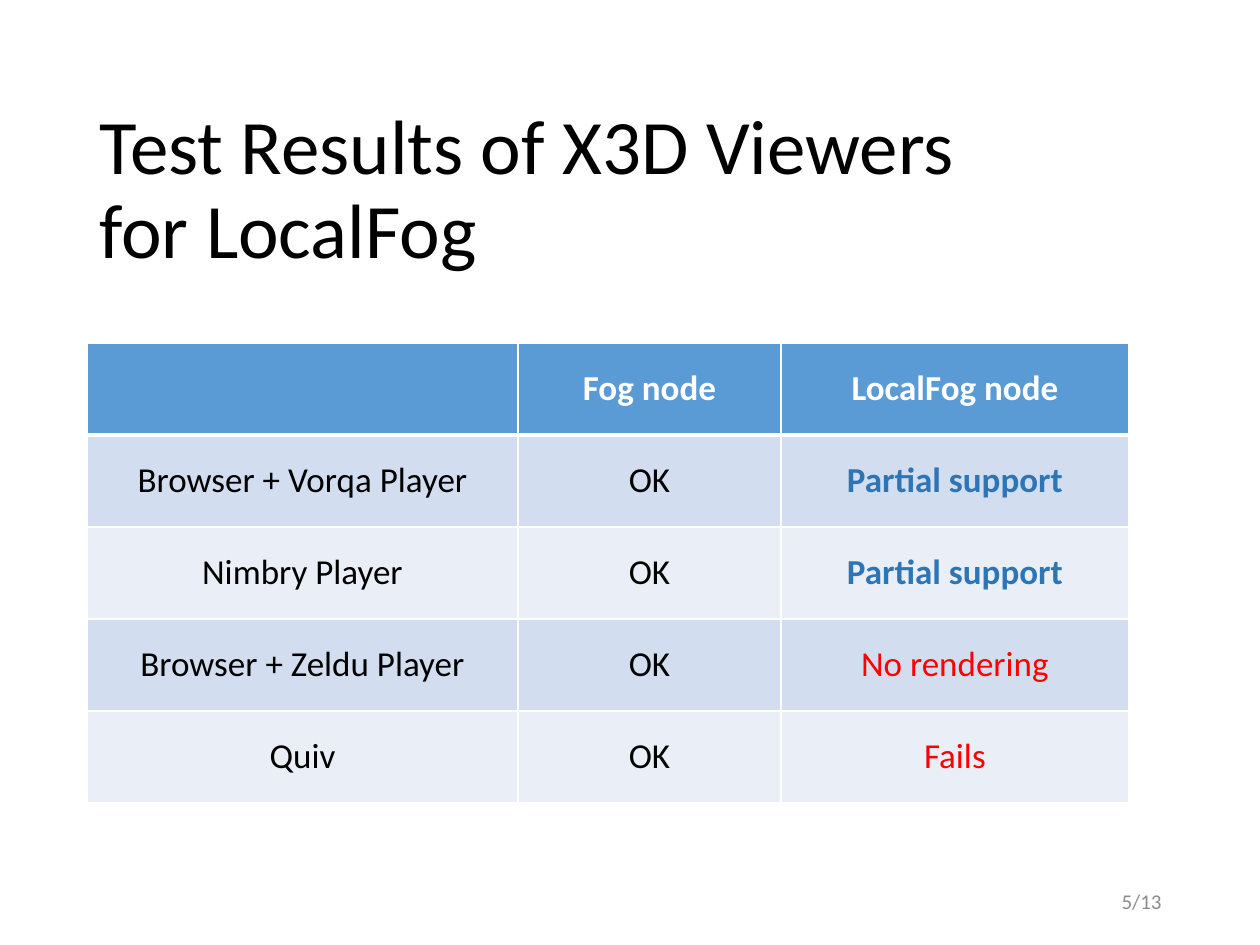
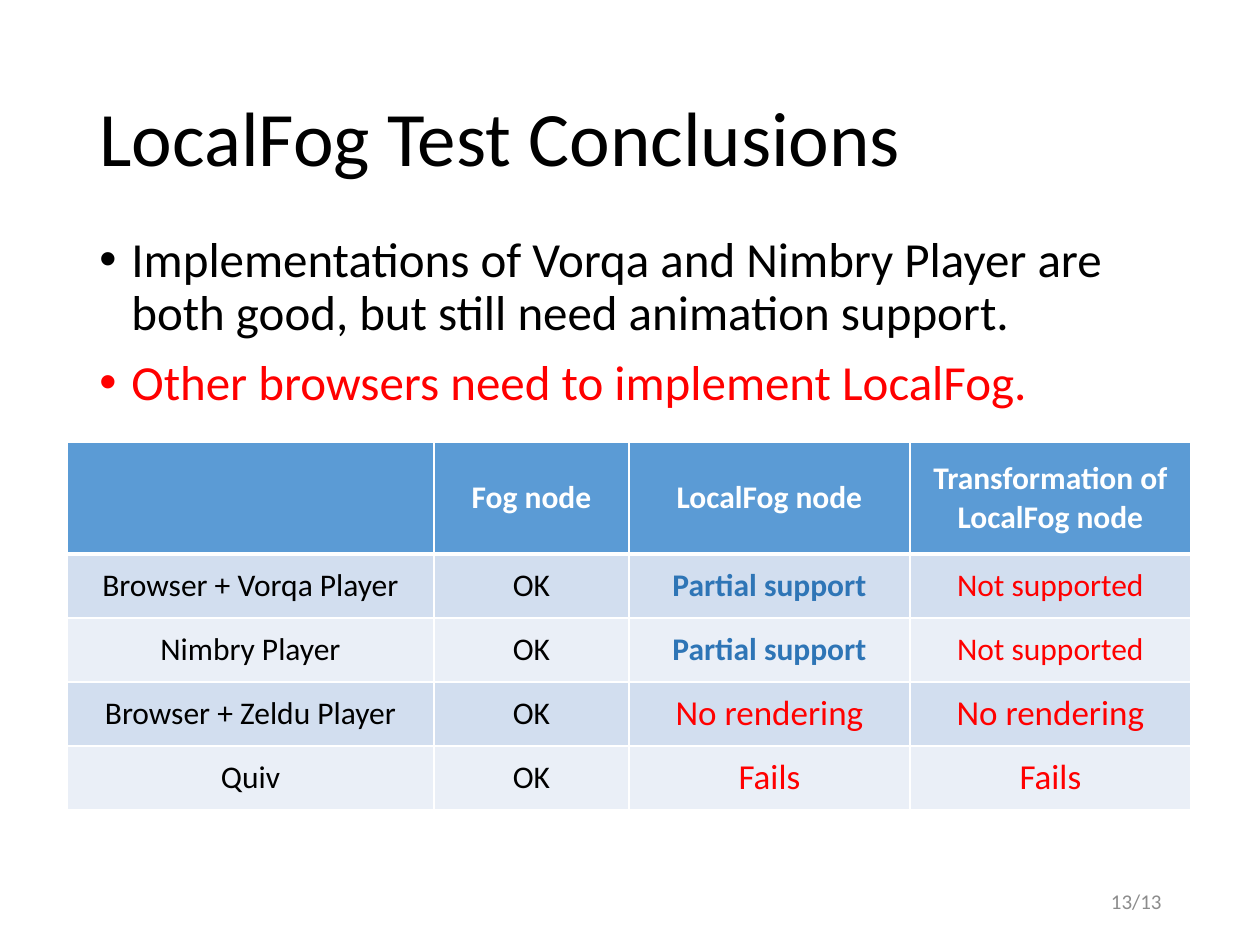
"""Build two slides that report how X3D viewers handle the LocalFog node."""

from dataclasses import dataclass
from typing import Optional

import lxml.etree
import pptx
import pptx.dml.color
import pptx.enum.text
import pptx.oxml.ns
import pptx.util

RGBColor = pptx.dml.color.RGBColor
ANCHOR = pptx.enum.text.MSO_ANCHOR
ALIGN = pptx.enum.text.PP_ALIGN

PX_PER_INCH = 126
FONT = "Calibri"
BLACK = RGBColor(0x00, 0x00, 0x00)
WHITE = RGBColor(0xFF, 0xFF, 0xFF)
GREY = RGBColor(0x8C, 0x8C, 0x8C)
RED = RGBColor(0xFF, 0x00, 0x00)
BLUE = RGBColor(0x2E, 0x75, 0xB6)
HEADER_FILL = RGBColor(0x5B, 0x9B, 0xD5)
BAND_FILLS = (RGBColor(0xEA, 0xEF, 0xF7), RGBColor(0xD2, 0xDE, 0xEF))
THIN, THICK = 1, 3
SLIDE_COUNT = 13


@dataclass(frozen=True)
class Area:
    left: int
    top: int
    width: int
    height: int


@dataclass(frozen=True)
class Style:
    color: RGBColor
    size: Optional[int] = None
    bold: bool = False


@dataclass(frozen=True)
class Bullet:
    text: str
    color: RGBColor


@dataclass(frozen=True)
class ResultTable:
    left: int
    top: int
    columns: tuple[int, ...]
    header_height: int
    row_height: int
    size: int
    rows: tuple[tuple[str, ...], ...]


HEADER = Style(WHITE, bold=True)
PLAIN = Style(BLACK)
VERDICTS = {
    "Partial support": Style(BLUE, bold=True),
    "Not supported": Style(RED),
    "No rendering": Style(RED, 20),
    "Fails": Style(RED, 20),
}
NUMBER_AREA = Area(890, 876, 284, 50)
BULLET_AREA = Area(87, 229, 1126, 600)
BULLET_INDENT = 32

BULLETS = (
    Bullet("Implementations of Vorqa and Nimbry Player are both good, "
           "but still need animation support.", BLACK),
    Bullet("Other browsers need to implement LocalFog.", RED),
)
RESULTS = (
    ("", "Fog node", "LocalFog node"),
    ("Browser + Vorqa Player", "OK", "Partial support"),
    ("Nimbry Player", "OK", "Partial support"),
    ("Browser + Zeldu Player", "OK", "No rendering"),
    ("Quiv", "OK", "Fails"),
)
TRANSFORMATIONS = ("Transformation of LocalFog node", "Not supported",
                   "Not supported", "No rendering", "Fails")
VIEWER_TABLE = ResultTable(87, 343, (431, 263, 348), 92, 92, 20, RESULTS)
CONCLUSION_TABLE = ResultTable(
    67, 442, (367, 195, 281, 281), 112, 64, 18,
    tuple((*row, extra) for row, extra in zip(RESULTS, TRANSFORMATIONS)))


def px(length: int) -> pptx.util.Emu:
    """Turn pixels into EMU."""
    return pptx.util.Emu(round(length * 914400 / PX_PER_INCH))


def add_span(para, text: str, size: int, color: RGBColor, bold: bool = False) -> None:
    """Add one styled run to a paragraph."""
    span = para.add_run()
    span.text = text
    span.font.name = FONT
    span.font.size = pptx.util.Pt(size)
    span.font.bold = bold
    span.font.color.rgb = color


def add_frame(page, area: Area, anchor=ANCHOR.MIDDLE):
    """Add a wrapping text box and return its text frame."""
    box = page.shapes.add_textbox(
        px(area.left), px(area.top), px(area.width), px(area.height))
    frame = box.text_frame
    frame.word_wrap = True
    frame.vertical_anchor = anchor
    return frame


def add_title(page, text: str, area: Area) -> None:
    """Add the slide title."""
    para = add_frame(page, area).paragraphs[0]
    para.line_spacing = 0.9
    add_span(para, text, 44, BLACK)


def add_number(page, number: int) -> None:
    """Add the slide number and the total."""
    para = add_frame(page, NUMBER_AREA).paragraphs[0]
    para.alignment = ALIGN.RIGHT
    add_span(para, f"{number}/{SLIDE_COUNT}", 12, GREY)


def add_bullets(page, bullets: tuple[Bullet, ...]) -> None:
    """Add the bulleted conclusions."""
    frame = add_frame(page, BULLET_AREA, ANCHOR.TOP)
    for index, bullet in enumerate(bullets):
        para = frame.add_paragraph() if index else frame.paragraphs[0]
        para.line_spacing = 0.9
        para.space_before = pptx.util.Pt(10)
        add_span(para, bullet.text, 28, bullet.color)
        properties = para._p.get_or_add_pPr()
        properties.set("marL", str(px(BULLET_INDENT)))
        properties.set("indent", str(-px(BULLET_INDENT)))
        for tag, name, value in (("a:buFont", "typeface", "Arial"),
                                 ("a:buChar", "char", "•")):
            mark = lxml.etree.SubElement(properties, pptx.oxml.ns.qn(tag))
            mark.set(name, value)


def set_borders(cell, top: int, bottom: int) -> None:
    """Draw white borders around a cell, widths in points."""
    properties = cell._tc.get_or_add_tcPr()
    widths = {"a:lnL": THIN, "a:lnR": THIN, "a:lnT": top, "a:lnB": bottom}
    for index, (tag, width) in enumerate(widths.items()):
        line = lxml.etree.Element(pptx.oxml.ns.qn(tag), w=str(pptx.util.Pt(width)))
        fill = lxml.etree.SubElement(line, pptx.oxml.ns.qn("a:solidFill"))
        color = lxml.etree.SubElement(fill, pptx.oxml.ns.qn("a:srgbClr"))
        color.set("val", str(WHITE))
        properties.insert(index, line)


def add_results(page, results: ResultTable) -> None:
    """Add a banded table of viewer results."""
    heights = [results.header_height] + [results.row_height] * (len(results.rows) - 1)
    table = page.shapes.add_table(
        len(heights), len(results.columns), px(results.left), px(results.top),
        px(sum(results.columns)), px(sum(heights))).table
    for column, width in zip(table.columns, results.columns):
        column.width = px(width)
    for row_index, (height, texts) in enumerate(zip(heights, results.rows)):
        table.rows[row_index].height = px(height)
        is_header = row_index == 0
        for column_index, text in enumerate(texts):
            cell = table.cell(row_index, column_index)
            cell.vertical_anchor = ANCHOR.MIDDLE
            cell.fill.solid()
            cell.fill.fore_color.rgb = HEADER_FILL if is_header else BAND_FILLS[row_index % 2]
            set_borders(cell, THICK if row_index == 1 else THIN, THICK if is_header else THIN)
            if text:
                style = HEADER if is_header else VERDICTS.get(text, PLAIN)
                para = cell.text_frame.paragraphs[0]
                para.alignment = ALIGN.CENTER
                add_span(para, text, style.size or results.size, style.color, style.bold)


def add_page(deck):
    """Add a blank white slide."""
    page = deck.slides.add_slide(deck.slide_layouts[6])
    page.background.fill.solid()
    page.background.fill.fore_color.rgb = WHITE
    return page


def main() -> None:
    """Build and save the deck."""
    deck = pptx.Presentation()
    deck.slide_width, deck.slide_height = px(1260), px(945)

    viewers = add_page(deck)
    add_number(viewers, 5)
    add_title(viewers, "Test Results of X3D Viewers for LocalFog", Area(87, 100, 891, 183))
    add_results(viewers, VIEWER_TABLE)

    conclusions = add_page(deck)
    add_bullets(conclusions, BULLETS)
    add_number(conclusions, 13)
    add_title(conclusions, "LocalFog Test Conclusions", Area(87, 50, 1086, 183))
    add_results(conclusions, CONCLUSION_TABLE)

    deck.save("out.pptx")


if __name__ == "__main__":
    main()
